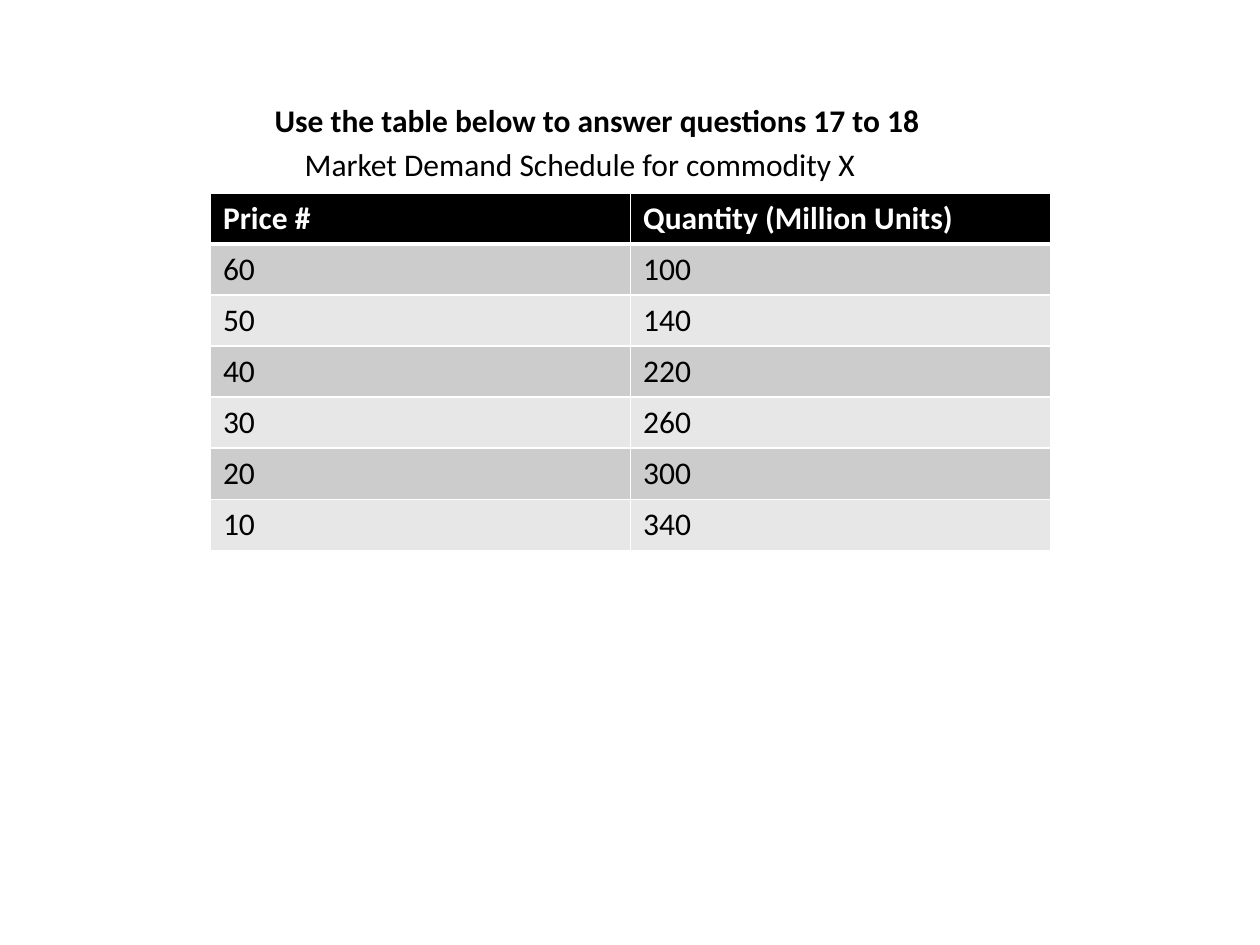
from dataclasses import dataclass

from lxml.etree import SubElement
from pptx import Presentation
from pptx.dml.color import RGBColor
from pptx.enum.text import MSO_ANCHOR, MSO_AUTO_SIZE, PP_ALIGN
from pptx.oxml.ns import qn
from pptx.shapes.autoshape import Shape
from pptx.slide import Slide
from pptx.table import _Cell
from pptx.util import Inches, Pt


@dataclass(frozen=True)
class Theme:
    """Colours, font and sizes of the slide."""
    font: str = "Calibri"
    size: int = 18
    black: str = "000000"
    white: str = "FFFFFF"
    bands: tuple[str, str] = ("CCCCCC", "E7E7E7")
    thin_line: int = 1
    thick_line: int = 3


@dataclass(frozen=True)
class Heading:
    """One line of text above the table."""
    text: str
    left: float
    top: float
    width: float
    bold: bool


@dataclass(frozen=True)
class DemandRow:
    """One row of the demand schedule."""
    price: str
    quantity: str


THEME = Theme()
HEADING_HEIGHT = 0.4
TITLE = Heading("Use the table below to answer questions 17 to 18 ", 2.08, 0.75, 5.42, True)
CAPTION = Heading("Market Demand Schedule for commodity X ", 2.32, 1.1, 4.77, False)
SCHEDULE = [
    DemandRow("Price #", "Quantity (Million Units)"),
    DemandRow("60", "100"),
    DemandRow("50", "140"),
    DemandRow("40", "220"),
    DemandRow("30", "260"),
    DemandRow("20", "300"),
    DemandRow("10", "340"),
]


def style_text(frame, color: str, bold: bool) -> None:
    """Format the first paragraph of a text frame."""
    para = frame.paragraphs[0]
    para.alignment = PP_ALIGN.LEFT
    para.font.name = THEME.font
    para.font.size = Pt(THEME.size)
    para.font.bold = bold
    para.font.color.rgb = RGBColor.from_string(color)


def fill_heading(box: Shape, heading: Heading) -> None:
    """Place a heading box and write its text."""
    box.left, box.top = Inches(heading.left), Inches(heading.top)
    box.width, box.height = Inches(heading.width), Inches(HEADING_HEIGHT)
    frame = box.text_frame
    frame.text = heading.text
    frame.word_wrap = False
    frame.auto_size = MSO_AUTO_SIZE.SHAPE_TO_FIT_TEXT
    frame.vertical_anchor = MSO_ANCHOR.TOP
    style_text(frame, THEME.black, heading.bold)


def set_borders(cell: _Cell, top: int, bottom: int) -> None:
    """Draw white borders, with the given top and bottom widths."""
    properties = cell._tc.get_or_add_tcPr()
    widths = {"a:lnL": THEME.thin_line, "a:lnR": THEME.thin_line, "a:lnT": top, "a:lnB": bottom}
    for tag, width in widths.items():
        line = SubElement(properties, qn(tag), w=str(Pt(width)))
        fill = SubElement(line, qn("a:solidFill"))
        SubElement(fill, qn("a:srgbClr"), val=THEME.white)


def add_schedule(page: Slide) -> None:
    """Add the demand table with a black header and grey bands."""
    table = page.shapes.add_table(
        len(SCHEDULE), 2, Inches(1.67), Inches(1.53), Inches(6.67), Inches(2.84)
    ).table
    for row_index, row in enumerate(SCHEDULE):
        is_header = row_index == 0
        fill = THEME.black if is_header else THEME.bands[(row_index - 1) % 2]
        top = THEME.thick_line if row_index == 1 else THEME.thin_line
        bottom = THEME.thick_line if is_header else THEME.thin_line
        for column_index, text in enumerate((row.price, row.quantity)):
            cell = table.cell(row_index, column_index)
            cell.text = text
            style_text(cell.text_frame, THEME.white if is_header else THEME.black, is_header)
            set_borders(cell, top, bottom)
            cell.fill.solid()
            cell.fill.fore_color.rgb = RGBColor.from_string(fill)


def build() -> None:
    """Build the slide and save the deck."""
    deck = Presentation()
    deck.slide_width, deck.slide_height = Inches(10), Inches(7.5)
    page = deck.slides.add_slide(deck.slide_layouts.get_by_name("Title Only"))
    add_schedule(page)
    fill_heading(page.shapes.title, TITLE)
    fill_heading(page.shapes.add_textbox(0, 0, 0, 0), CAPTION)
    deck.save("out.pptx")


build()
